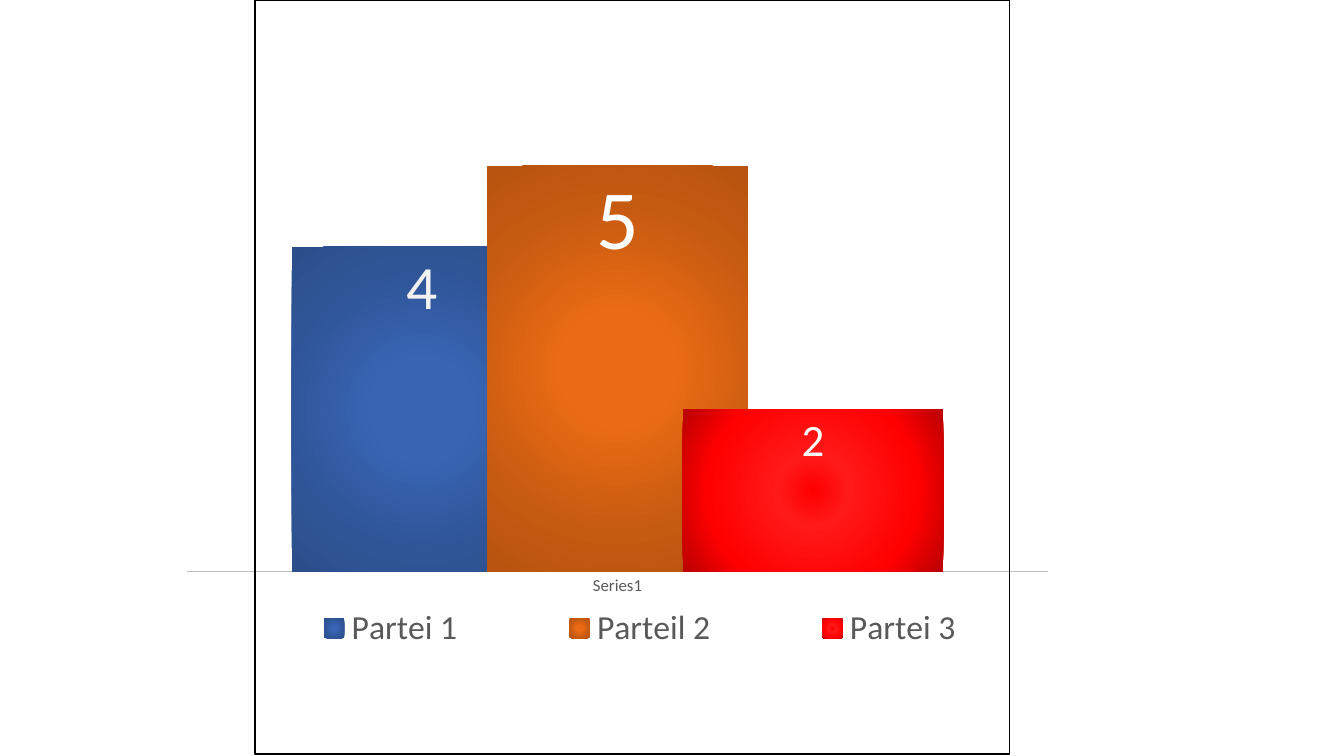
from dataclasses import dataclass

import pptx
import pptx.chart.data
import pptx.chart.series
import pptx.dml.color
import pptx.enum.chart
import pptx.enum.shapes
import pptx.oxml
import pptx.oxml.ns
import pptx.util
from pptx.util import Inches


@dataclass(frozen=True)
class Theme:
    font: str = "Calibri"
    text: str = "595959"
    axis: str = "BFBFBF"
    frame: str = "000000"
    axis_size: int = 12
    legend_size: int = 24
    stops: tuple[int, ...] = (0, 23, 69, 97)


@dataclass(frozen=True)
class Party:
    name: str
    seats: int
    label_size: int
    label_color: str
    gradient: tuple[str, ...]


THEME = Theme()
PARTIES = (
    Party("Partei 1", 4, 44, "F2F2F2", ("3864B3", "3864B3", "2F5597", "2C4F8C")),
    Party("Parteil 2", 5, 60, "FFFFFF", ("EA6B14", "EA6B14", "C55A11", "B85410")),
    Party("Partei 3", 2, 32, "FFFFFF", ("FF0000", "FF1919", "FF0000", "C00000")),
)


def rgb(color: str) -> pptx.dml.color.RGBColor:
    return pptx.dml.color.RGBColor.from_string(color)


def set_font(font, size: int, color: str) -> None:
    font.name = THEME.font
    font.size = pptx.util.Pt(size)
    font.color.rgb = rgb(color)


def manual_layout(x: float, y: float, width: float, height: float, inner: bool = False):
    """Layout element with its box as fractions of the chart."""
    target = '<c:layoutTarget val="inner"/>' if inner else ""
    return pptx.oxml.parse_xml(
        f'<c:layout {pptx.oxml.ns.nsdecls("c")}><c:manualLayout>{target}'
        '<c:xMode val="edge"/><c:yMode val="edge"/>'
        f'<c:x val="{x}"/><c:y val="{y}"/><c:w val="{width}"/><c:h val="{height}"/>'
        "</c:manualLayout></c:layout>"
    )


def style_series(series: pptx.chart.series.BarSeries, party: Party) -> None:
    # Radial gradient
    stops = "".join(
        f'<a:gs pos="{stop * 1000}"><a:srgbClr val="{color}"/></a:gs>'
        for stop, color in zip(THEME.stops, party.gradient)
    )
    fill = pptx.oxml.parse_xml(
        f'<a:gradFill {pptx.oxml.ns.nsdecls("a")}><a:gsLst>{stops}</a:gsLst>'
        '<a:path path="circle"><a:fillToRect l="50000" t="50000" r="50000" b="50000"/>'
        "</a:path></a:gradFill>"
    )
    series.format.line.fill.background()
    series._element.get_or_add_spPr().insert(0, fill)
    series.invert_if_negative = False

    # Value inside the top of the column
    labels = series.data_labels
    labels.show_value = True
    labels.position = pptx.enum.chart.XL_LABEL_POSITION.INSIDE_END
    set_font(labels.font, party.label_size, party.label_color)


def add_seat_chart(page) -> None:
    chart_data = pptx.chart.data.CategoryChartData()
    chart_data.categories = ["Series1"]
    for party in PARTIES:
        chart_data.add_series(party.name, [party.seats])
    chart = page.shapes.add_chart(
        pptx.enum.chart.XL_CHART_TYPE.COLUMN_CLUSTERED,
        Inches(1.68), Inches(0.72), Inches(8.89), Inches(5.93), chart_data,
    ).chart
    chart.has_title = False
    set_font(chart.font, THEME.axis_size, THEME.text)

    # Columns
    plot = chart.plots[0]
    plot.gap_width = 80
    plot.overlap = 25
    plot.vary_by_categories = False
    for series, party in zip(plot.series, PARTIES):
        style_series(series, party)

    # Axes
    category_axis = chart.category_axis
    category_axis.major_tick_mark = pptx.enum.chart.XL_TICK_MARK.NONE
    category_axis.format.line.color.rgb = rgb(THEME.axis)
    category_axis.format.line.width = pptx.util.Pt(1.25)
    set_font(category_axis.tick_labels.font, THEME.axis_size, THEME.text)
    value_axis = chart.value_axis
    value_axis.minimum_scale = 0
    value_axis.maximum_scale = 6
    value_axis.has_major_gridlines = False
    value_axis.visible = False

    # Legend
    chart.has_legend = True
    legend = chart.legend
    legend.position = pptx.enum.chart.XL_LEGEND_POSITION.BOTTOM
    legend.include_in_layout = False
    set_font(legend.font, THEME.legend_size, THEME.text)

    # Places of plot and legend
    plot_area = chart._chartSpace.chart.plotArea
    for layout in plot_area.findall(pptx.oxml.ns.qn("c:layout")):
        plot_area.remove(layout)
    plot_area.insert(0, manual_layout(0.02, 0.02, 0.96, 0.815, inner=True))
    legend_element = legend._element
    for layout in legend_element.findall(pptx.oxml.ns.qn("c:layout")):
        legend_element.remove(layout)
    legend_position = legend_element.find(pptx.oxml.ns.qn("c:legendPos"))
    legend_position.addnext(manual_layout(0.06, 0.89, 0.93, 0.08))


def add_frame(page) -> None:
    frame = page.shapes.add_shape(
        pptx.enum.shapes.MSO_SHAPE.RECTANGLE,
        Inches(2.53), Inches(0), Inches(7.48), Inches(7.48),
    )
    frame.shadow.inherit = False
    frame.fill.background()
    frame.line.color.rgb = rgb(THEME.frame)
    frame.line.width = pptx.util.Pt(1)


def main() -> None:
    deck = pptx.Presentation()
    deck.slide_width = Inches(13.33)
    deck.slide_height = Inches(7.5)
    page = deck.slides.add_slide(deck.slide_layouts[6])
    add_seat_chart(page)
    add_frame(page)
    deck.save("out.pptx")


if __name__ == "__main__":
    main()
